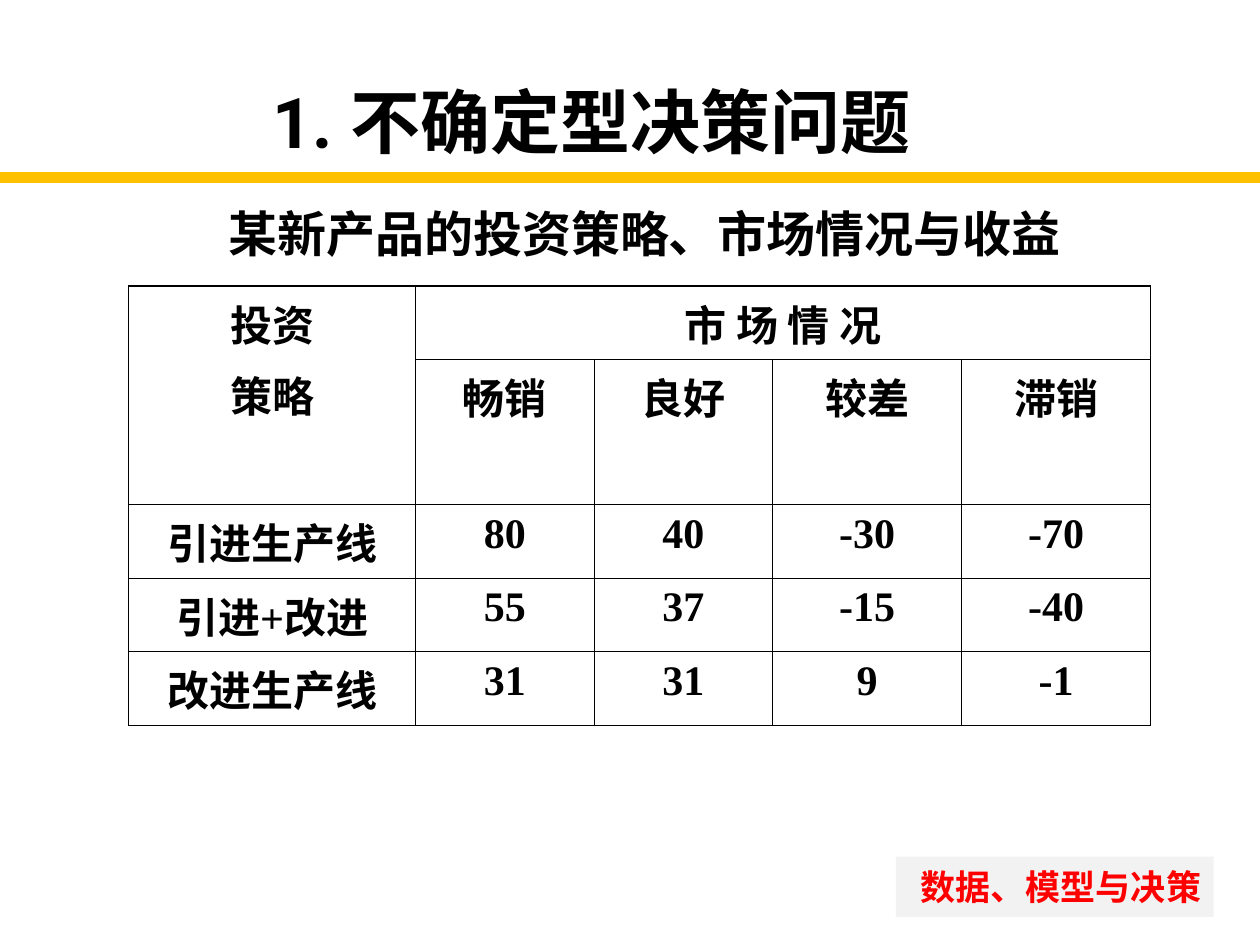
from lxml.etree import SubElement
from pptx import Presentation
from pptx.dml.color import RGBColor
from pptx.enum.shapes import MSO_CONNECTOR, MSO_SHAPE
from pptx.enum.text import MSO_ANCHOR as Anchor, MSO_AUTO_SIZE as AutoSize, PP_ALIGN as Align
from pptx.oxml.ns import qn
from pptx.util import Pt

COLORS = {"text": "000000", "rule": "FFC000", "label": "F2F2F2", "accent": "FF0000"}
CJK_FONT = "Noto Sans CJK SC"
OUTER, INNER = 1.08, 0.45

COLUMN_WIDTHS = [164, 102, 102, 108, 108]
ROW_HEIGHTS = [39, 71, 39, 39, 39]
PAYOFFS = [
    ["投资\n策略", "市 场 情 况", "", "", ""],
    ["", "畅销", "良好", "较差", "滞销"],
    ["引进生产线", "80", "40", "-30", "-70"],
    ["引进+改进", "55", "37", "-15", "-40"],
    ["改进生产线", "31", "31", "9", "-1"],
]


def color(name):
    return RGBColor.from_string(COLORS[name])


def write(frame, text, size, font, align=Align.CENTER, ink="text", gap=0):
    """Fill a text frame with bold lines; gap is the space between paragraphs."""
    frame.text = text
    for index, para in enumerate(frame.paragraphs):
        para.alignment = align
        para.space_before = Pt(gap if index else 0)
        for span in para.runs:
            values = {"size": Pt(size), "bold": True, "name": font}
            for key, value in values.items():
                setattr(span.font, key, value)
            span.font.color.rgb = color(ink)
            SubElement(span.font._element, qn("a:ea"), typeface=CJK_FONT)


def place(shape, box):
    for key, value in zip(("left", "top", "width", "height"), box):
        setattr(shape, key, Pt(value))


def set_frame(frame, anchor):
    values = {"word_wrap": True, "auto_size": AutoSize.NONE, "vertical_anchor": anchor}
    for key, value in values.items():
        setattr(frame, key, value)


def add_title(page, box):
    title = page.shapes.title
    place(title, box)
    set_frame(title.text_frame, Anchor.MIDDLE)
    write(title.text_frame, "1. 不确定型决策问题 ", 40, "Roboto")


def add_rule(page, left, right, y):
    rule = page.shapes.add_connector(MSO_CONNECTOR.STRAIGHT, Pt(left), Pt(y), Pt(right), Pt(y))
    rule.line.color.rgb = color("rule")
    rule.line.width = Pt(6)
    SubElement(rule._element.spPr, qn("a:effectLst"))


def add_caption(page, box):
    caption = page.shapes.add_textbox(*map(Pt, box))
    set_frame(caption.text_frame, Anchor.TOP)
    write(caption.text_frame, "某新产品的投资策略、市场情况与收益 ", 28, "Arial")


def add_course_label(page, box):
    label = page.shapes.add_shape(MSO_SHAPE.RECTANGLE, *map(Pt, box))
    label.shadow.inherit = False
    label.fill.solid()
    label.fill.fore_color.rgb = color("label")
    label.line.fill.background()
    set_frame(label.text_frame, Anchor.MIDDLE)
    write(label.text_frame, "数据、模型与决策", 20, CJK_FONT, Align.RIGHT, "accent")


def set_borders(cell, widths):
    properties = cell._tc.get_or_add_tcPr()
    for side, width in widths.items():
        line = SubElement(properties, qn(f"a:ln{side}"), w=str(int(Pt(width))))
        fill = SubElement(line, qn("a:solidFill"))
        SubElement(fill, qn("a:srgbClr"), val=COLORS["text"])


def add_payoff_table(page, left, top):
    last_row, last_column = len(ROW_HEIGHTS) - 1, len(COLUMN_WIDTHS) - 1
    box = (left, top, sum(COLUMN_WIDTHS), sum(ROW_HEIGHTS))
    table = page.shapes.add_table(last_row + 1, last_column + 1, *map(Pt, box)).table
    table.first_row = table.horz_banding = False
    for column, width in zip(table.columns, COLUMN_WIDTHS):
        column.width = Pt(width)
    for row, height in zip(table.rows, ROW_HEIGHTS):
        row.height = Pt(height)
    table.cell(0, 0).merge(table.cell(1, 0))
    table.cell(0, 1).merge(table.cell(0, last_column))

    for r, values in enumerate(PAYOFFS):
        for c, value in enumerate(values):
            cell = table.cell(r, c)
            edges = {"L": c == 0, "R": c == last_column, "T": r == 0, "B": r == last_row}
            set_borders(cell, {side: OUTER if edge else INNER for side, edge in edges.items()})
            cell.fill.background()
            if not cell.is_spanned:
                write(cell.text_frame, value, 24, "Times New Roman", gap=6)


def main():
    deck = Presentation()
    deck.slide_width, deck.slide_height = Pt(720), Pt(540)
    page = deck.slides.add_slide(deck.slide_layouts[5])
    add_course_label(page, (512, 489.5, 181.5, 34.5))
    add_title(page, (84, 39.5, 517, 58.5))
    add_payoff_table(page, 73.5, 163.5)
    add_rule(page, 0, 720, 101.5)
    add_caption(page, (73.5, 112.5, 596, 41))
    deck.save("out.pptx")


if __name__ == "__main__":
    main()
